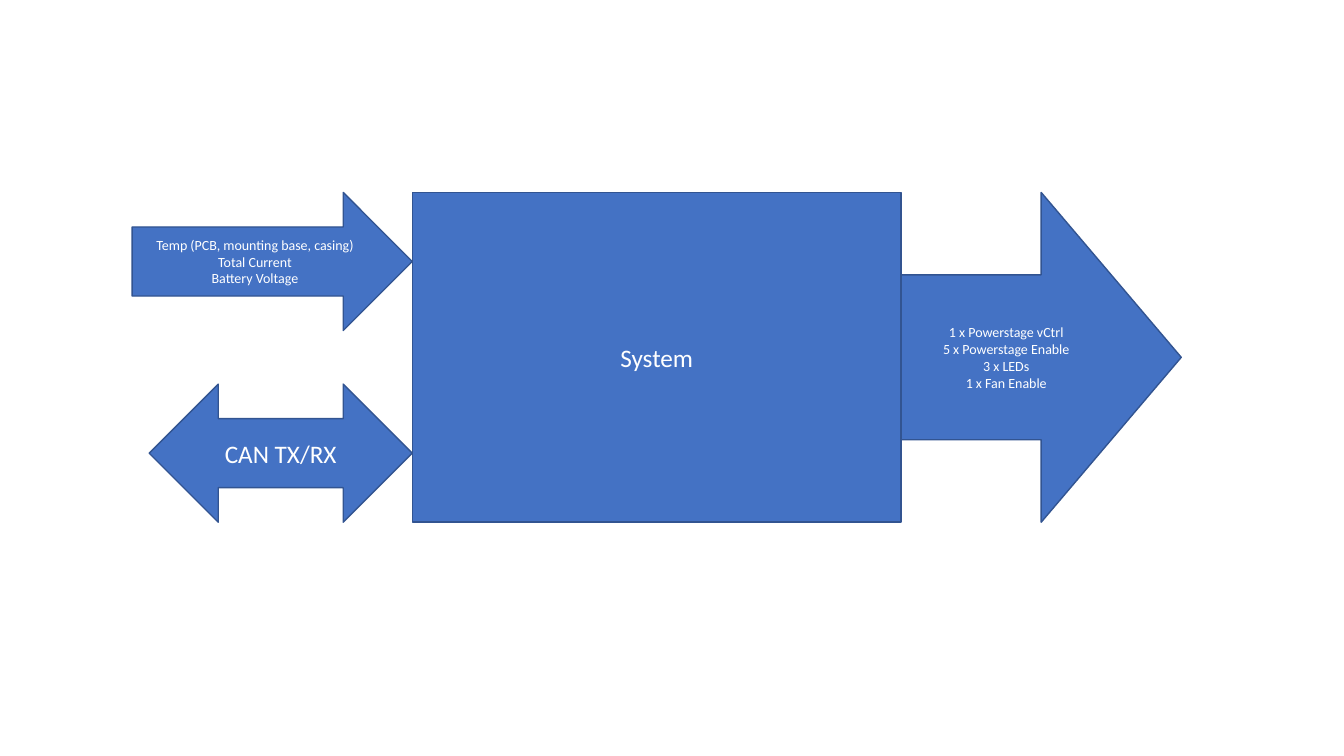
"""Build a slide showing a system block with its input, bus and output arrows."""
from pptx import Presentation
from pptx.dml.color import RGBColor
from pptx.enum.shapes import MSO_SHAPE
from pptx.enum.text import MSO_ANCHOR, PP_ALIGN
from pptx.util import Cm, Pt

RECT = MSO_SHAPE.RECTANGLE
RIGHT = MSO_SHAPE.RIGHT_ARROW
BOTH = MSO_SHAPE.LEFT_RIGHT_ARROW
MIDDLE = MSO_ANCHOR.MIDDLE
CENTER = PP_ALIGN.CENTER
BLUE = RGBColor(0x44, 0x72, 0xC4)
EDGE = RGBColor(0x32, 0x54, 0x91)
WHITE = RGBColor(0xFF, 0xFF, 0xFF)

deck = Presentation()
deck.slide_width, deck.slide_height = Cm(33.87), Cm(19.05)
slide = deck.slides.add_slide(deck.slide_layouts[6])

left, top, width, height = 10.39, 4.85, 12.32, 8.31
reach, bus, thin = 7.06, 6.63, 3.48
low = top + height - thin

sensors = ["Temp (PCB, mounting base, casing)", "Total Current", "Battery Voltage"]
outputs = ["1 x Powerstage vCtrl", "5 x Powerstage Enable", "3 x LEDs", "1 x Fan Enable"]
parts = [
    (RECT, left, top, width, height, 18, ["System"]),
    (RIGHT, left - reach, top, reach, thin, 10, sensors),
    (RIGHT, left + width, top, reach, height, 10, outputs),
    (BOTH, left - bus, low, bus, thin, 18, ["CAN TX/RX"]),
]

for kind, x, y, wide, high, size, lines in parts:
    shape = slide.shapes.add_shape(kind, Cm(x), Cm(y), Cm(wide), Cm(high))
    shape.shadow.inherit = False
    shape.fill.solid()
    shape.fill.fore_color.rgb = BLUE
    shape.line.color.rgb = EDGE
    shape.line.width = Pt(1)
    frame = shape.text_frame
    frame.word_wrap = True
    frame.vertical_anchor = MIDDLE
    frame.text = "\n".join(lines)
    style = {"name": "Calibri", "size": Pt(size)}
    for para in frame.paragraphs:
        para.alignment = CENTER
        font = para.runs[0].font
        font.color.rgb = WHITE
        for key, value in style.items():
            setattr(font, key, value)

deck.save("out.pptx")
